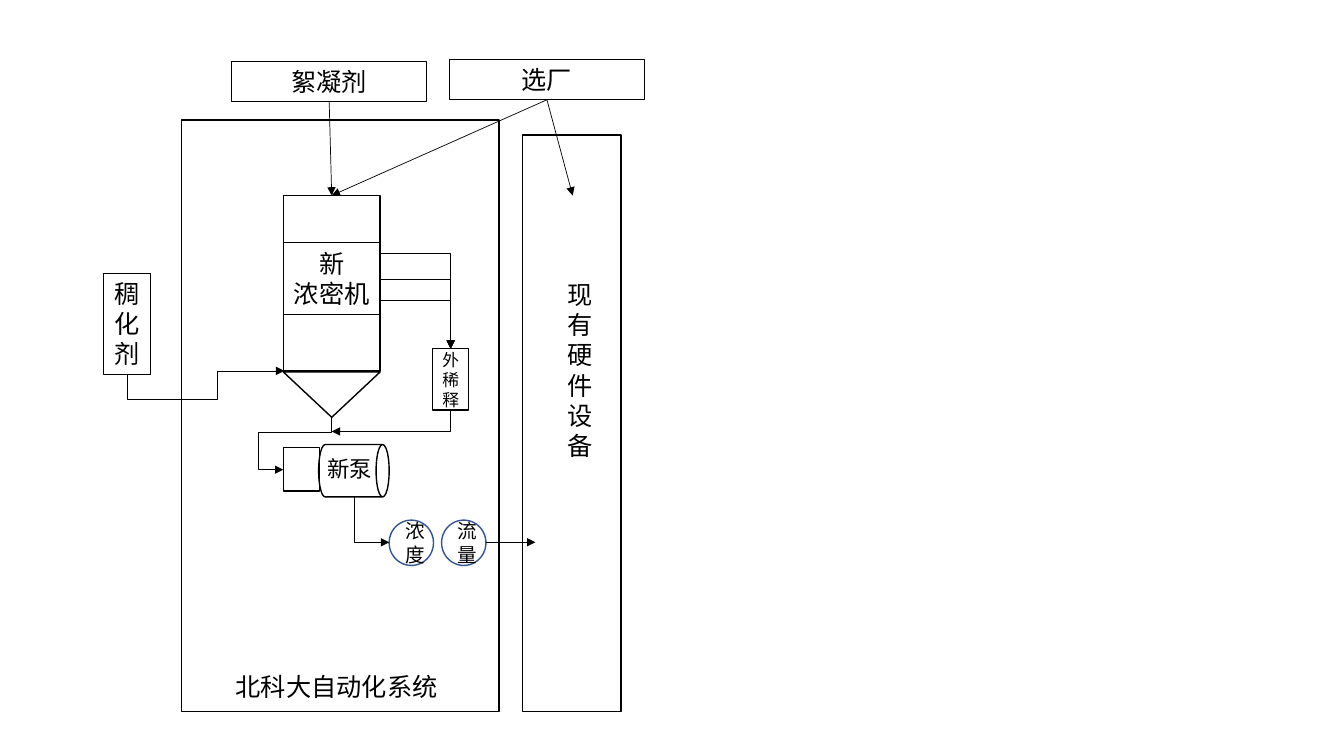
"""Build the process diagram of the thickener control system."""
from math import cos, radians, sin

from lxml.etree import SubElement
from pptx import Presentation
from pptx.dml.color import RGBColor
from pptx.enum.shapes import MSO_CONNECTOR, MSO_SHAPE
from pptx.enum.text import MSO_ANCHOR, MSO_AUTO_SIZE, PP_ALIGN
from pptx.oxml.ns import qn
from pptx.util import Inches, Pt

FONT = "Noto Sans CJK SC"
BLACK, WHITE, BLUE = "000000", "FFFFFF", "325491"
CELL = Inches(0.1)
RECT = MSO_SHAPE.RECTANGLE


def add_part(shapes, kind, frame, text="", size=18, weight=1, line=BLACK, fill=None,
             align=PP_ALIGN.CENTER, anchor=MSO_ANCHOR.TOP, grow=True, wrap=True):
    """Add a shape, or a text box when kind is None, placed in grid cells."""
    lengths = [round(v * CELL) for v in frame]
    if kind is None:
        sp = shapes.add_textbox(*lengths)
    else:
        sp = shapes.add_shape(kind, *lengths)
        sp.shadow.inherit = False
        sp.line.color.rgb = RGBColor.from_string(line)
        sp.line.width = Pt(weight)
        if fill:
            sp.fill.solid()
            sp.fill.fore_color.rgb = RGBColor.from_string(fill)
        else:
            sp.fill.background()
    if text:
        tf = sp.text_frame
        tf.text = text
        tf.word_wrap = wrap
        tf.vertical_anchor = anchor
        tf.auto_size = MSO_AUTO_SIZE.SHAPE_TO_FIT_TEXT if grow else MSO_AUTO_SIZE.NONE
        for p in tf.paragraphs:
            p.alignment = align
            for r in p.runs:
                r.font.size = Pt(size)
                r.font.color.rgb = RGBColor.from_string(BLACK)
                r.font.name = FONT
                SubElement(r.font._element, qn("a:ea"), typeface=FONT)
    return sp


def add_arrow(start, end, preset=None, turn=0, adjust=()):
    """Add an arrow between two grid points, bent when a preset is given."""
    mid = [(a + b) / 2 for a, b in zip(start, end)]
    c, n = cos(radians(turn)), sin(radians(turn))
    ends = []
    for x, y in (start, end):
        dx, dy = x - mid[0], y - mid[1]
        ends += [mid[0] + dx * c + dy * n, mid[1] - dx * n + dy * c]
    kind = MSO_CONNECTOR.ELBOW if preset else MSO_CONNECTOR.STRAIGHT
    arrow = s.shapes.add_connector(kind, *[round(v * CELL) for v in ends])
    arrow.line.color.rgb = RGBColor.from_string(BLACK)
    arrow.line.width = Pt(0.5)
    props = arrow._element.spPr
    SubElement(props.find(qn("a:ln")), qn("a:tailEnd"), type="triangle")
    SubElement(props, qn("a:effectLst"))
    if preset:
        props.find(qn("a:xfrm")).set("rot", str(turn * 60000))
        geometry = props.find(qn("a:prstGeom"))
        geometry.set("prst", preset)
        guides = geometry.find(qn("a:avLst"))
        for i, share in enumerate(adjust, 1):
            SubElement(guides, qn("a:gd"), name=f"adj{i}", fmla=f"val {round(share * 100000)}")
    return arrow


prs = Presentation()
prs.slide_width, prs.slide_height = Inches(13.33), Inches(7.5)
s = prs.slides.add_slide(prs.slide_layouts[6])

add_part(s.shapes, RECT, (18, 11.9, 31.5, 58.7))

thickener = s.shapes.add_group_shape().shapes
tank = add_part(thickener, RECT, (28.1, 19.4, 9.6, 17.4))
cone = add_part(thickener, MSO_SHAPE.ISOSCELES_TRIANGLE, (28.1, 36.9, 9.6, 4.5))
cone.rotation = 180
add_part(thickener, RECT, (28.1, 24.1, 9.6, 7.1), "新\n浓密机", weight=0.75, wrap=False)

pump = s.shapes.add_group_shape().shapes
barrel = add_part(pump, MSO_SHAPE.CAN, (32.5, 43.2, 5.2, 7))
barrel.rotation = 90
add_part(pump, RECT, (28.1, 44.4, 3.6, 4.3))
add_part(pump, None, (31.5, 44.7, 10.7, 3.7), "新泵", 16, align=PP_ALIGN.LEFT)

add_part(s.shapes, None, (22.4, 66.1, 24.1, 4), "北科大自动化系统", align=PP_ALIGN.LEFT)
add_part(s.shapes, RECT, (51.8, 13.4, 9.8, 57.2))
add_part(s.shapes, None, (55.3, 27.2, 2.9, 19.2), "现有硬件设备")

plant, flocculant, thickening = [
    add_part(s.shapes, RECT, frame, text, weight=0.75)
    for text, frame in (("选厂", (44.6, 5.9, 19.3, 4)),
                        ("絮凝剂", (23, 6.1, 19.3, 4)),
                        ("稠化剂", (10.3, 27.1, 4.6, 10.1)))]
for i, text in enumerate(("浓度", "流量")):
    add_part(s.shapes, MSO_SHAPE.OVAL, (38.6 + 5.2 * i, 51.6, 4.4, 4.5), text, 14,
             line=BLUE, fill=WHITE, anchor=MSO_ANCHOR.MIDDLE, grow=False)
add_part(s.shapes, RECT, (42.9, 34.6, 3.6, 6.1), "外稀释", 12,
         anchor=MSO_ANCHOR.MIDDLE, grow=False)

for source in (plant, flocculant):
    feed = add_arrow((54.3, 10), (32.9, 19.4))
    feed.begin_connect(source, 2)
    feed.end_connect(tank, 0)
add_arrow((54.3, 10), (56.8, 19.4)).begin_connect(plant, 2)
add_arrow((48.2, 53.8), (53.1, 53.8))

for route in (
    ((32.9, 41.3), (28.1, 46.6), "bentConnector4", 90, (0.298, 1.521)),
    ((12.6, 37.2), (28.2, 36.8), "bentConnector4", 90, (-5.974, 0.574)),
    ((37.7, 27.7), (44.7, 34.6), "bentConnector2"),
    ((37.6, 25), (44.7, 34.6), "bentConnector3", 270, (0.5,)),
    ((37.6, 25), (44.7, 34.6), "bentConnector3", 270, (0.016,)),
    ((44.7, 40.7), (32.9, 42.8), "bentConnector2", 90),
    ((35.1, 49.3), (38.6, 53.8), "bentConnector2", 270),
):
    add_arrow(*route)

prs.save("out.pptx")
